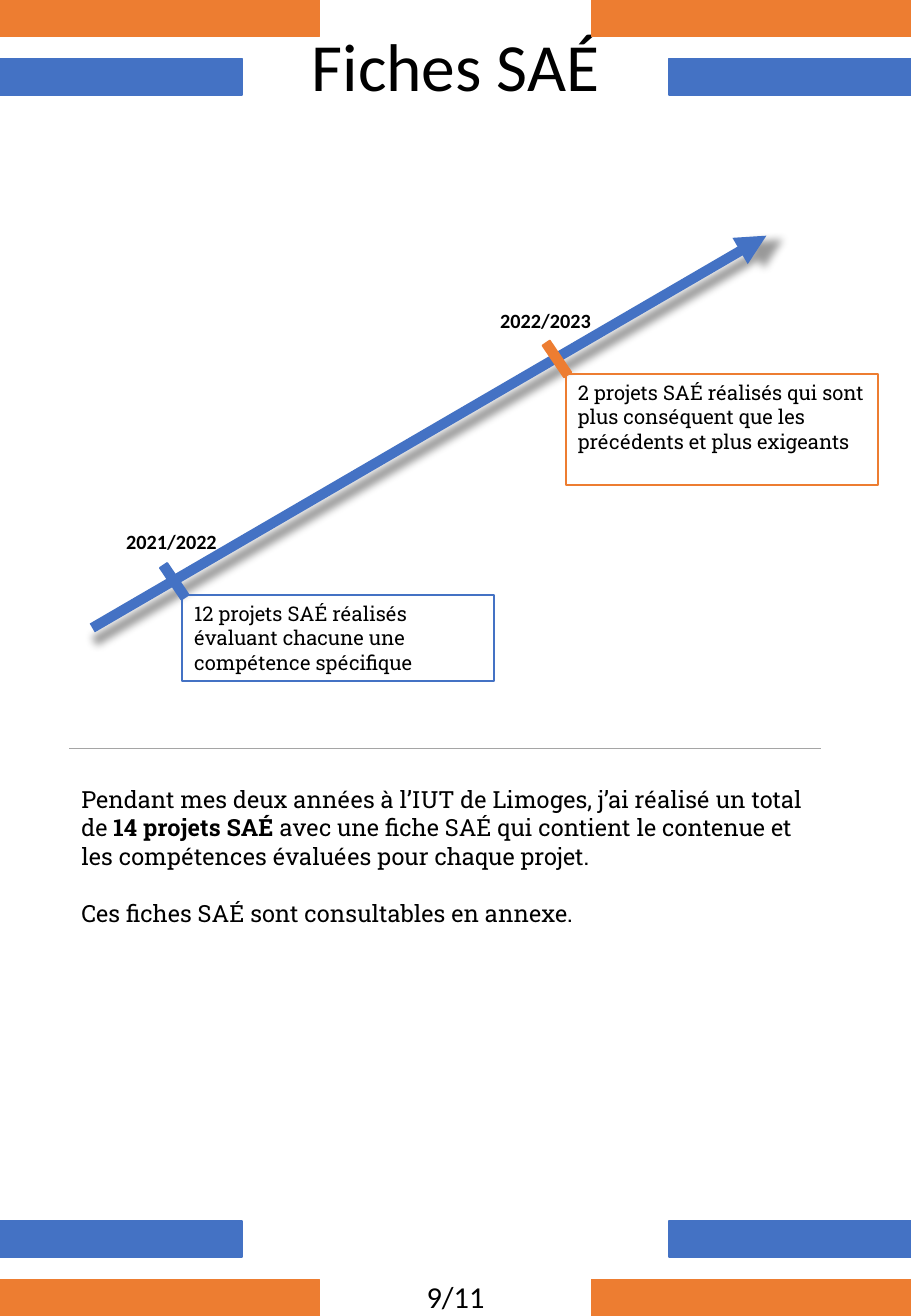
from dataclasses import dataclass

from lxml.etree import SubElement
from pptx import Presentation
from pptx.dml.color import RGBColor
from pptx.enum.shapes import MSO_CONNECTOR, MSO_SHAPE
from pptx.enum.text import MSO_ANCHOR, MSO_AUTO_SIZE, PP_ALIGN
from pptx.oxml.ns import qn
from pptx.util import Pt

ORANGE, BLUE, GREY, BLACK = "ED7D31", "4472C4", "A5A5A5", "000000"
SANS, SLAB = "Calibri", "Roboto Slab"
PAGE_WIDTH, PAGE_HEIGHT = 540, 780
BAR_HEIGHT = 21.6

FRAME_FORMAT = {
    "word_wrap": True,
    "auto_size": MSO_AUTO_SIZE.NONE,
    "vertical_anchor": MSO_ANCHOR.TOP,
    "margin_left": Pt(7.2),
    "margin_right": Pt(7.2),
    "margin_top": Pt(3.6),
    "margin_bottom": Pt(3.6),
}


@dataclass
class Area:
    left: float
    top: float
    width: float
    height: float

    def lengths(self) -> list:
        return [Pt(v) for v in (self.left, self.top, self.width, self.height)]


@dataclass
class Bar:
    top: float
    width: float
    colour: str


@dataclass
class Milestone:
    year: str
    summary: str
    colour: str
    label: Area
    tick: Area
    card: Area


BARS = [
    Bar(0, 189.4, ORANGE),
    Bar(34.6, 143.3, BLUE),
    Bar(723.6, 143.3, BLUE),
    Bar(PAGE_HEIGHT - BAR_HEIGHT, 189.4, ORANGE),
]

MILESTONES = [
    Milestone("2021/2022", "12 projets SAÉ réalisés évaluant chacune une compétence spécifique",
              BLUE, Area(67.7, 310.3, 72, 21.8), Area(87.8, 333.4, 31, 22.3),
              Area(108, 352.8, 185, 51)),
    Milestone("2022/2023",
              "2 projets SAÉ réalisés qui sont plus conséquent que les précédents et plus exigeants",
              ORANGE, Area(289.4, 179.3, 72, 21.8), Area(314.6, 201.6, 31, 22.3),
              Area(335.5, 221.8, 185, 65.5)),
]


def rgb(colour: str) -> RGBColor:
    return RGBColor.from_string(colour)


def apply(target, values: dict) -> None:
    for name, value in values.items():
        setattr(target, name, value)


def write(paragraph, text: str, size: float, font_name: str, bold: bool = False) -> None:
    run = paragraph.add_run()
    run.text = text
    apply(run.font, {"size": Pt(size), "name": font_name, "bold": bold})
    run.font.color.rgb = rgb(BLACK)


def place(holder, area: Area) -> None:
    apply(holder, dict(zip(("left", "top", "width", "height"), area.lengths())))
    apply(holder.text_frame, FRAME_FORMAT)


def add_label(slide, area: Area, text: str, size: float, bold: bool = False,
              align: PP_ALIGN = PP_ALIGN.LEFT) -> None:
    frame = slide.shapes.add_textbox(*area.lengths()).text_frame
    apply(frame, FRAME_FORMAT)
    frame.paragraphs[0].alignment = align
    write(frame.paragraphs[0], text, size, SANS, bold)


def add_block(slide, kind: MSO_SHAPE, area: Area, colour: str, filled: bool = True):
    block = slide.shapes.add_shape(kind, *area.lengths())
    block.shadow.inherit = False
    if filled:
        block.fill.solid()
        block.fill.fore_color.rgb = rgb(colour)
    else:
        block.fill.background()
    block.line.color.rgb = rgb(colour)
    block.line.width = Pt(1)
    return block


def add_line(slide, start: tuple, end: tuple, colour: str, width: float):
    points = [Pt(v) for v in (*start, *end)]
    line = slide.shapes.add_connector(MSO_CONNECTOR.STRAIGHT, *points)
    line.line.color.rgb = rgb(colour)
    line.line.width = Pt(width)
    effects = SubElement(line._element.spPr, qn("a:effectLst"))
    return line, effects


def add_bars(slide) -> None:
    for bar in BARS:
        for left in (0, PAGE_WIDTH - bar.width):
            add_block(slide, MSO_SHAPE.RECTANGLE,
                      Area(left, bar.top, bar.width, BAR_HEIGHT), bar.colour)


def add_time_arrow(slide) -> None:
    arrow, effects = add_line(slide, (54.7, 372.2), (454.3, 139.7), BLUE, 6)
    SubElement(arrow.line._get_or_add_ln(), qn("a:tailEnd"), type="triangle")
    shadow = SubElement(effects, qn("a:outerShdw"), blurRad=str(Pt(5)), sx="102000",
                        sy="102000", algn="ctr", rotWithShape="0")
    shade = SubElement(shadow, qn("a:srgbClr"), val=BLACK)
    SubElement(shade, qn("a:alpha"), val="40000")


def add_milestone(slide, milestone: Milestone) -> None:
    card = add_block(slide, MSO_SHAPE.RECTANGLE, milestone.card, milestone.colour, filled=False)
    apply(card.text_frame, FRAME_FORMAT)
    summary = card.text_frame.paragraphs[0]
    summary.alignment = PP_ALIGN.LEFT
    write(summary, milestone.summary, 12, SLAB)
    tick = add_block(slide, MSO_SHAPE.MATH_MINUS, milestone.tick, milestone.colour)
    tick.rotation = 55.9
    add_label(slide, milestone.label, milestone.year, 12, bold=True)


def fill_title(title) -> None:
    place(title, Area(131.8, 10.8, 276.5, 55.4))
    heading = title.text_frame.paragraphs[0]
    heading.alignment = PP_ALIGN.CENTER
    write(heading, "Fiches SAÉ", 40, SANS)


def fill_body(body) -> None:
    place(body, Area(41, 461.5, 445.7, 92.2))
    overview = body.text_frame.paragraphs[0]
    annex = body.text_frame.add_paragraph()
    for paragraph, gap in ((overview, 0), (annex, 17)):
        properties = paragraph._p.get_or_add_pPr()
        apply(paragraph, {"alignment": PP_ALIGN.LEFT, "space_before": Pt(gap)})
        properties.set("marL", "0")
        properties.set("indent", "0")
        SubElement(properties, qn("a:buNone"))
    write(overview, "Pendant mes deux années à l’IUT de Limoges, j’ai réalisé un total de ", 14, SLAB)
    write(overview, "14 projets SAÉ ", 14, SLAB, bold=True)
    write(overview, "avec une fiche SAÉ qui contient le contenue et les compétences "
                    "évaluées pour chaque projet.", 14, SLAB)
    write(annex, "Ces fiches SAÉ sont consultables en annexe.", 14, SLAB)


def main() -> None:
    deck = Presentation()
    apply(deck, {"slide_width": Pt(PAGE_WIDTH), "slide_height": Pt(PAGE_HEIGHT)})
    slide = deck.slides.add_slide(deck.slide_layouts[1])

    # Title and explanation
    fill_title(slide.shapes.title)
    fill_body(slide.placeholders[1])

    # Header and footer bars with the page number
    add_bars(slide)
    add_label(slide, Area(189.4, 753.8, 161.2, 29), "9/11", 18, align=PP_ALIGN.CENTER)

    # Timeline of the two years
    add_time_arrow(slide)
    for milestone in MILESTONES:
        add_milestone(slide, milestone)

    # Rule above the explanation
    add_line(slide, (41, 443.5), (486.7, 443.5), GREY, 0.5)

    deck.save("out.pptx")


if __name__ == "__main__":
    main()
